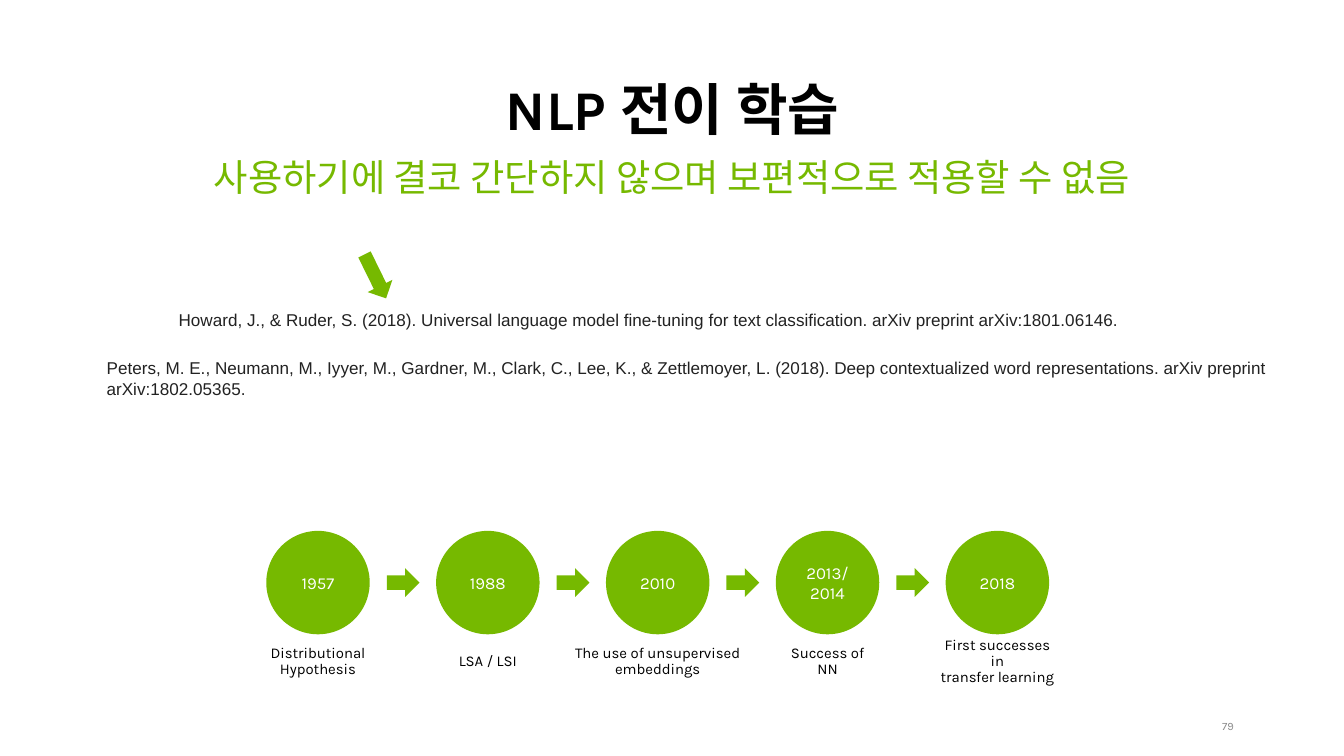
from pptx import Presentation
from pptx import util as u
from pptx.dml.color import RGBColor
from pptx.enum import shapes, text

GREEN = RGBColor(0x76, 0xB9, 0x00)
BLACK = RGBColor(0x00, 0x00, 0x00)
WHITE = RGBColor(0xFF, 0xFF, 0xFF)
DARK = RGBColor(0x22, 0x22, 0x22)
GRAY = RGBColor(0x8C, 0x8C, 0x8C)

MIDDLE = text.MSO_ANCHOR.MIDDLE
BOTTOM = text.MSO_ANCHOR.BOTTOM
TOP = text.MSO_ANCHOR.TOP
LEFT = text.PP_ALIGN.LEFT
CENTER = text.PP_ALIGN.CENTER
RIGHT = text.PP_ALIGN.RIGHT


class Deck:
    font = "Karla"

    def __init__(self, width, height):
        self.prs = Presentation()
        self.prs.slide_width = u.Cm(width)
        self.prs.slide_height = u.Cm(height)
        self.s = self.prs.slides.add_slide(self.prs.slide_layouts[6])

    def fill_text(self, tf, lines, size, color, align=CENTER, anchor=MIDDLE,
                  font=None, bold=False, spacing=None):
        tf.word_wrap = True
        tf.vertical_anchor = anchor
        for i, line in enumerate(lines):
            p = tf.add_paragraph() if i else tf.paragraphs[0]
            p.text = line
            p.alignment = align
            p.line_spacing = spacing
            p.font.name = font or self.font
            p.font.size = u.Pt(size)
            p.font.bold = bold
            p.font.color.rgb = color

    def box(self, at, lines, size, color, insets=None, **style):
        tf = self.s.shapes.add_textbox(*map(u.Cm, at)).text_frame
        if insets:
            tf.margin_left = tf.margin_right = u.Cm(insets[0])
            tf.margin_top = tf.margin_bottom = u.Cm(insets[1])
        self.fill_text(tf, lines, size, color, **style)

    def shape(self, kind, at):
        sp = self.s.shapes.add_shape(kind, *map(u.Cm, at))
        sp.shadow.inherit = False
        sp.fill.solid()
        sp.fill.fore_color.rgb = GREEN
        sp.line.fill.background()
        return sp

    def circle(self, at, lines):
        sp = self.shape(shapes.MSO_SHAPE.OVAL, at)
        self.fill_text(sp.text_frame, lines, 18, WHITE)

    def arrow(self, at, rotation=0):
        self.shape(shapes.MSO_SHAPE.RIGHT_ARROW, at).rotation = rotation


REFERENCES = [
    ((6.5, 11.56, 43.76, 1.04),
     "Howard, J., & Ruder, S. (2018). Universal language model fine-tuning "
     "for text classification. arXiv preprint arXiv:1801.06146."),
    ((3.78, 13.39, 49.71, 1.83),
     "Peters, M. E., Neumann, M., Iyyer, M., Gardner, M., Clark, C., Lee, K., "
     "& Zettlemoyer, L. (2018). Deep contextualized word representations. "
     "arXiv preprint arXiv:1802.05365."),
]

MILESTONES = [
    (["1957"], ["Distributional", "Hypothesis"], 4.17),
    (["1988"], ["LSA / LSI"], 2.77),
    (["2010"], ["The use of unsupervised", "embeddings"], 6.86),
    (["2013/", "2014"], ["Success of NN"], 4.04),
    (["2018"], ["First successes in", "transfer learning"], 5.08),
]
FIRST_CENTER, STEP, DIAMETER = 12.02, 6.42, 3.91


def main():
    deck = Deck(50.8, 28.58)
    deck.box((45.14, 27.2, 1.5, 0.51), ["79"], 12, GRAY, insets=(0, 0), align=RIGHT)
    deck.box((3.51, 0, 43.82, 5.51), ["NLP 전이 학습"], 60, BLACK,
             anchor=BOTTOM, bold=True, spacing=0.9)
    deck.box((2.31, 5.84, 46.18, 2.44),
             ["사용하기에 결코 간단하지 않으며 보편적으로 적용할 수 없음"],
             40, GREEN, insets=(0.43, 0.2), anchor=TOP, spacing=0.9)
    for at, citation in REFERENCES:
        deck.box(at, [citation], 18.3, DARK, align=LEFT, anchor=TOP, font="Arial")

    for i, (year, label, width) in enumerate(MILESTONES):
        center = FIRST_CENTER + i * STEP
        deck.circle((center - DIAMETER / 2, 20.07, DIAMETER, DIAMETER), year)
        deck.box((center - width / 2, 24.25, width, 1.5), label, 16, BLACK, spacing=0.9)
        if i < len(MILESTONES) - 1:
            deck.arrow((center + 2.6, 21.48, 1.24, 1.09))
    deck.arrow((13.26, 9.93, 1.85, 1.04), rotation=63.8)
    deck.prs.save("out.pptx")


if __name__ == "__main__":
    main()
